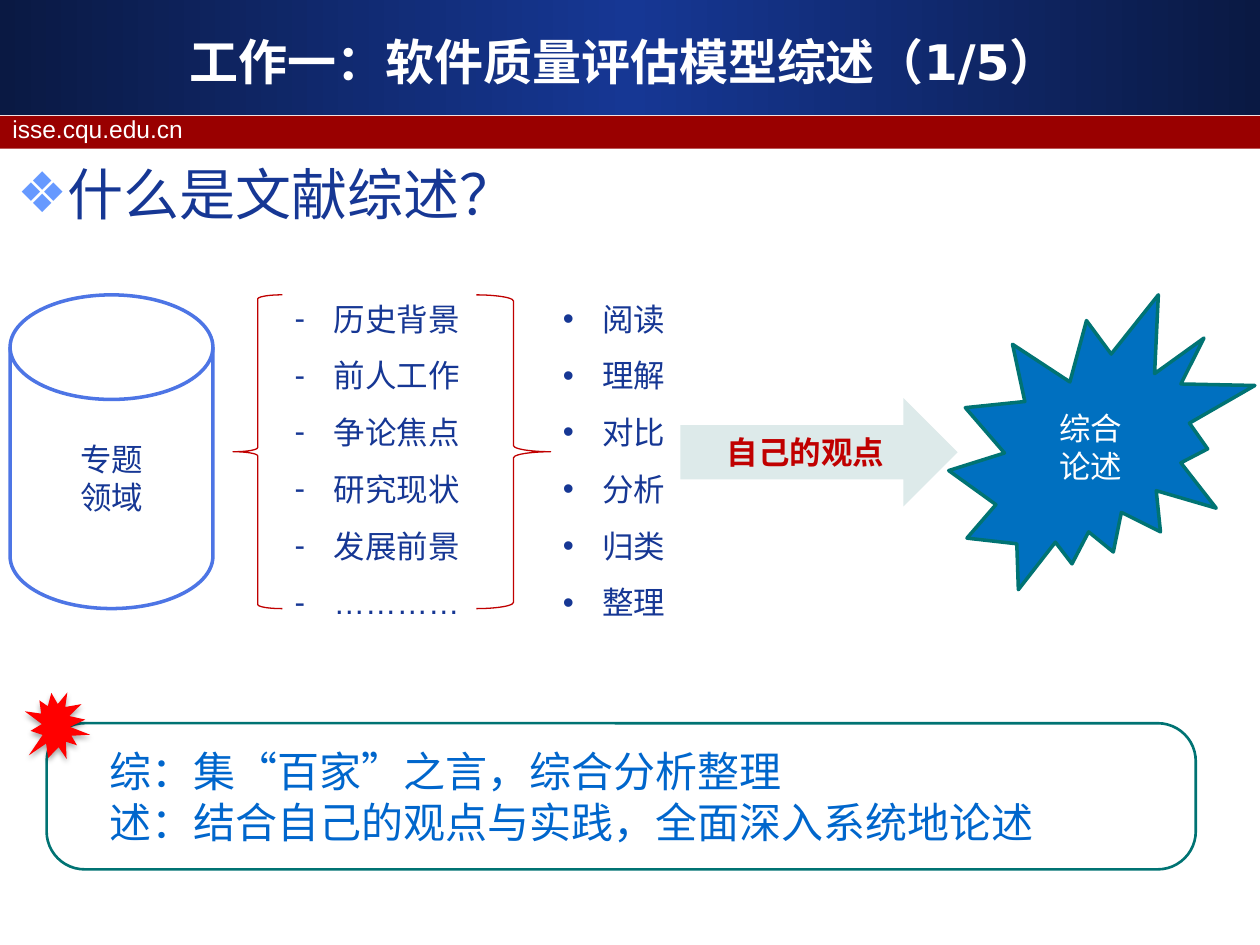
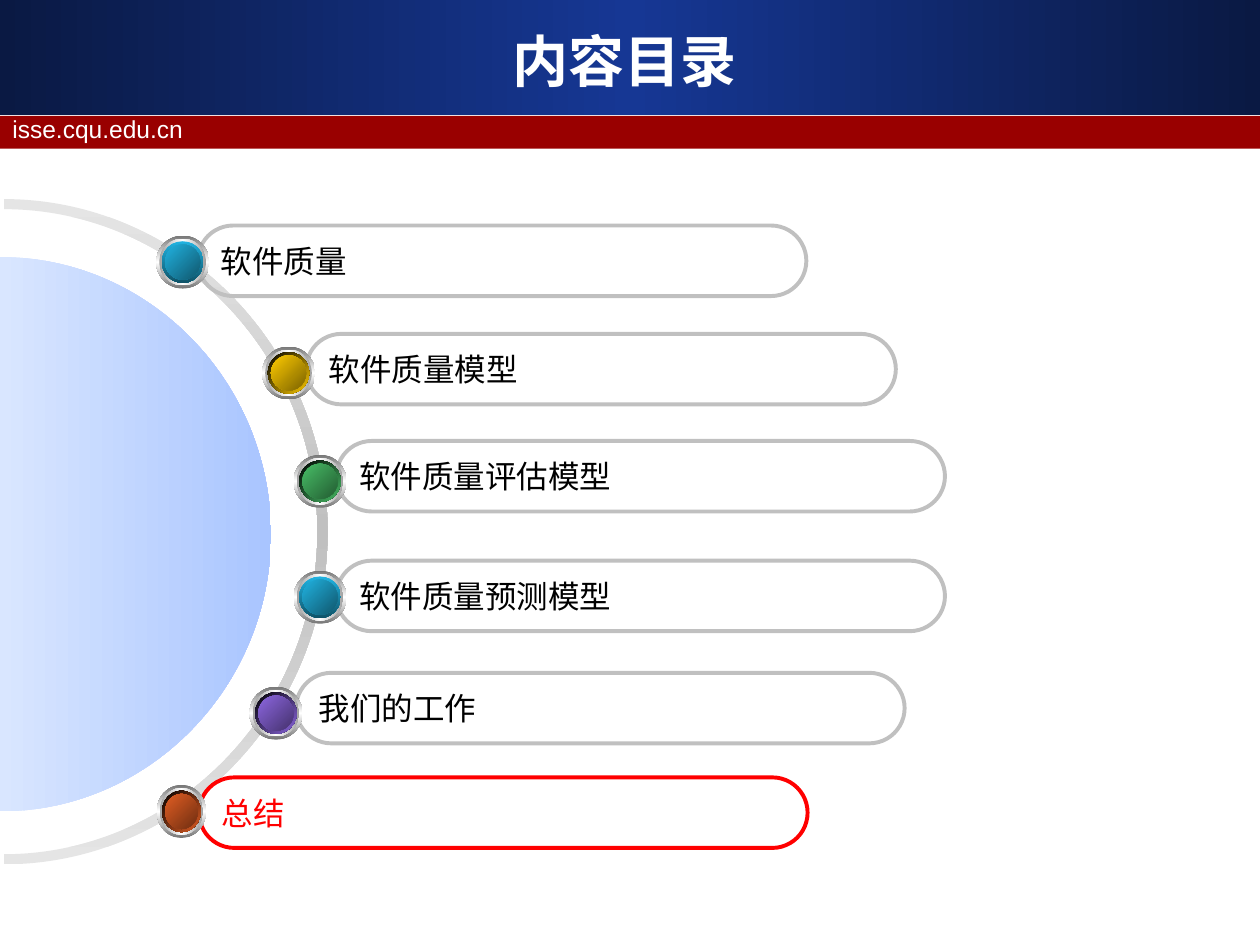
import itertools
from dataclasses import dataclass

from lxml import etree
from pptx import Presentation
from pptx import util as u
from pptx.dml.color import RGBColor
from pptx.enum import shapes, text
from pptx.oxml.ns import qn

KIND = shapes.MSO_SHAPE
ALIGN = text.PP_ALIGN


@dataclass(frozen=True)
class Theme:
    navy: str = "163794"
    navy_edge: str = "0A1943"
    band_red: str = "990000"
    white: str = "FFFFFF"
    black: str = "000000"
    diamond: str = "6699FF"
    crimson: str = "C00000"
    alert: str = "FF0000"
    arrow: str = "DDEAEA"
    seal: str = "0070C0"
    teal: str = "007373"
    cylinder: str = "4D75E5"
    summary: str = "0066CC"
    silver: str = "C0C0C0"
    pale: str = "E5E5E5"
    latin: str = "Arial"
    title_latin: str = "DejaVu Sans"
    cjk: str = "Noto Sans CJK SC"
    site_size: int = 14
    body_size: int = 18
    summary_size: int = 24
    title_size: int = 28
    heading_size: int = 32


@dataclass(frozen=True)
class Topic:
    label: str
    bead_x: float
    bead_y: float
    pill_x: float
    pill_y: float
    rim: tuple
    rim_angle: int
    face: tuple
    pill_width: float = 4.83
    bead_squeeze: float = 1.0
    current: bool = False


T = Theme()

# The slide is a grid of 10 columns by 7.5 rows
COLUMNS, ROWS = 10, 7.5
WIDTH, HEIGHT = u.Inches(10), u.Inches(7.5)


def col(count):
    return round(WIDTH * count / COLUMNS)


def row(count):
    return round(HEIGHT * count / ROWS)


def grid(left, top, width, height):
    return col(left), row(top), col(width), row(height)


# Formatting
def set_gradient(shape, colours, angle):
    shape.fill.gradient()
    gradient = shape.element.spPr.find(qn("a:gradFill"))
    stops = gradient.find(qn("a:gsLst"))
    for stop in list(stops):
        stops.remove(stop)
    for i, colour in enumerate(colours):
        position = str(100000 * i // (len(colours) - 1))
        stop = etree.SubElement(stops, qn("a:gs"), pos=position)
        etree.SubElement(stop, qn("a:srgbClr"), val=colour)
    gradient.find(qn("a:lin")).set("ang", str(angle * 60000))


def paint(shape, fill=None, line=None, weight=1.0, angle=0):
    """Fill with one colour, or with a gradient when given several."""
    shape.shadow.inherit = False
    if fill is None:
        shape.fill.background()
    elif isinstance(fill, tuple):
        set_gradient(shape, fill, angle)
    else:
        shape.fill.solid()
        shape.fill.fore_color.rgb = RGBColor.from_string(fill)
    if line is None:
        shape.line.fill.background()
    else:
        shape.line.color.rgb = RGBColor.from_string(line)
        shape.line.width = u.Pt(weight)
    return shape


def add_soft_shadow(shape):
    effects = shape.element.spPr.find(qn("a:effectLst"))
    shadow = etree.SubElement(effects, qn("a:outerShdw"), blurRad=str(u.Pt(3.1)),
                              dist=str(u.Pt(1.8)), dir="5400000", rotWithShape="0")
    colour = etree.SubElement(shadow, qn("a:srgbClr"), val=T.black)
    etree.SubElement(colour, qn("a:alpha"), val="35000")


def set_indent(paragraph, left, bullet=None, bullet_colour=None):
    properties = paragraph._p.get_or_add_pPr()
    properties.set("marL", str(col(left)))
    if bullet:
        properties.set("indent", str(-col(left)))
        if bullet_colour:
            holder = etree.SubElement(properties, qn("a:buClr"))
            etree.SubElement(holder, qn("a:srgbClr"), val=bullet_colour)
        etree.SubElement(properties, qn("a:buFont"), typeface=T.latin)
        etree.SubElement(properties, qn("a:buChar"), char=bullet)


def write(shape, lines, size, colour, latin=T.latin, bold=False,
          align=ALIGN.LEFT, middle=True, wrap=True, spacing=None,
          indent=0, bullet=None, bullet_colour=None):
    frame = shape.text_frame
    frame.word_wrap = wrap
    frame.auto_size = text.MSO_AUTO_SIZE.NONE
    anchors = text.MSO_ANCHOR
    frame.vertical_anchor = anchors.MIDDLE if middle else anchors.TOP
    for i, line in enumerate(lines):
        paragraph = frame.add_paragraph() if i else frame.paragraphs[0]
        if indent:
            set_indent(paragraph, indent, bullet, bullet_colour)
        paragraph.alignment = align
        if spacing:
            paragraph.line_spacing = spacing
        run = paragraph.add_run()
        run.text = line
        run.font.size = u.Pt(size)
        run.font.bold = bold
        run.font.name = latin
        run.font.color.rgb = RGBColor.from_string(colour)
        etree.SubElement(run._r.get_or_add_rPr(), qn("a:ea"), typeface=T.cjk)


# Shared parts
def add_bands(slide, layout):
    """Put the title band, the red band and the site address on the layout."""
    title_band = slide.shapes.add_shape(KIND.RECTANGLE, *grid(0, 0, COLUMNS, 0.91))
    paint(title_band, (T.navy_edge, T.navy, T.navy_edge))
    red_band = slide.shapes.add_shape(KIND.RECTANGLE, *grid(0, 0.92, COLUMNS, 0.26))
    paint(red_band, T.band_red)
    site = slide.shapes.add_textbox(*grid(0, 0.86, 9.61, 0.34))
    write(site, ["isse.cqu.edu.cn"], T.site_size, T.white, middle=False)
    for part in (title_band, red_band, site):
        layout.shapes.element.append(part.element)


def add_titled_slide(deck, layout, title, size):
    slide = deck.slides.add_slide(layout)
    holder = slide.shapes.title
    holder.left, holder.top, holder.width, holder.height = grid(0.33, 0.17, 9.25, 0.62)
    write(holder, [title], size, T.white, T.title_latin, bold=True, align=ALIGN.CENTER)
    return slide


# Literature review slide
def add_list(slide, left, width, items, bullet):
    box = slide.shapes.add_textbox(*grid(left, 2.18, width, 2.83))
    write(box, items, T.body_size, T.navy, middle=False, spacing=1.5,
          indent=0.31, bullet=bullet)


def add_figure(parent, kind, place, lines=(), size=T.body_size, colour=T.navy,
               latin=T.latin, bold=False, **look):
    figure = paint(parent.shapes.add_shape(kind, *grid(*place)), **look)
    if lines:
        write(figure, lines, size, colour, latin, bold, ALIGN.CENTER)
    return figure


def add_summary(slide):
    summary = slide.shapes.add_group_shape()
    panel = add_figure(summary, KIND.ROUNDED_RECTANGLE, (0.37, 5.74, 9.12, 1.16),
                       line=T.teal, weight=1.5)
    panel.adjustments[0] = 0.26
    write(panel, ["综：集“百家”之言，综合分析整理",
                  "述：结合自己的观点与实践，全面深入系统地论述"],
          T.summary_size, T.summary, indent=0.31)
    burst = add_figure(summary, KIND.EXPLOSION1, (0.19, 5.49, 0.53, 0.53), fill=T.alert)
    burst.rotation = 274.1
    add_soft_shadow(burst)


def fill_review_slide(slide):
    heading = slide.shapes.add_textbox(*grid(0.04, 1.22, 8.5, 1.2))
    write(heading, ["什么是文献综述？"], T.heading_size, T.navy, T.cjk, middle=False,
          indent=0.38, bullet="❖", bullet_colour=T.diamond)

    # From the subject, through its material and the method, to the review
    top, height = 2.34, 2.49
    add_figure(slide, KIND.FLOWCHART_MAGNETIC_DISK, (0.08, top, 1.61, height),
               ["专题", "领域"], line=T.cylinder, weight=2)
    for brace, left, width in ((KIND.LEFT_BRACE, 1.85, 0.39),
                               (KIND.RIGHT_BRACE, 3.78, 0.59)):
        add_figure(slide, brace, (left, top, width, height),
                   line=T.crimson, weight=0.75)
    add_list(slide, 2.24, 3.23, ["历史背景", "前人工作", "争论焦点", "研究现状",
                                 "发展前景", "…………"], "-")
    add_list(slide, 4.37, 1.26, ["阅读", "理解", "对比", "分析", "归类", "整理"], "•")
    add_figure(slide, KIND.RIGHT_ARROW, (5.4, 3.16, 2.2, 0.86), ["自己的观点"],
               colour=T.crimson, latin=T.cjk, bold=True, fill=T.arrow)
    add_figure(slide, KIND.EXPLOSION2, (7.53, top, 2.43, 2.34), ["综合", "论述"],
               colour=T.white, fill=T.seal, line=T.teal, weight=2)
    add_summary(slide)


# Contents slide
CURVE = 0.55  # how far a quarter ellipse's handles reach
HALF_ELLIPSE = ((0, -1), (CURVE, -1), (1, -CURVE), (1, 0),
                (1, CURVE), (CURVE, 1), (0, 1))


def half_ellipse(centre_x, centre_y, radius_x, radius_y):
    """Curve points of the right half, from the top to the bottom."""
    return [(col(centre_x + radius_x * x), row(centre_y + radius_y * y))
            for x, y in HALF_ELLIPSE]


def add_outline(slide, halves, colours, angle):
    """Join half ellipses by straight lines into one closed outline."""
    points = list(itertools.chain(*halves))
    builder = slide.shapes.build_freeform(*points[0])
    builder.add_line_segments(points[1:], close=True)
    outline = paint(builder.convert_to_shape(), colours, angle=angle)

    # Turn each three steps within a half into one curve
    steps = list(outline.element.iter(qn("a:lnTo")))
    for start in range(0, len(steps), len(HALF_ELLIPSE)):
        for first in (start, start + 3):
            curve = etree.Element(qn("a:cubicBezTo"))
            steps[first].addprevious(curve)
            for step in steps[first:first + 3]:
                curve.append(step[0])
                step.getparent().remove(step)


def add_pill(slide, topic):
    pill = slide.shapes.add_shape(
        KIND.ROUNDED_RECTANGLE,
        *grid(topic.pill_x, topic.pill_y, topic.pill_width, 0.56))
    pill.adjustments[0] = 0.5
    paint(pill, line=T.alert if topic.current else T.silver, weight=2.25)
    write(pill, [topic.label], T.body_size, T.alert if topic.current else T.black,
          T.cjk, wrap=False)


def add_bead(slide, topic):
    bead = slide.shapes.add_group_shape()
    layers = ((0.42, ("767676", T.white, "767676"), 90),
              (0.37, ("A2A2A2", T.white, "A2A2A2"), 0),
              (0.33, topic.rim, topic.rim_angle),
              (0.28, topic.face, 45))
    for size, colours, angle in layers:
        width = size * topic.bead_squeeze
        disc = bead.shapes.add_shape(KIND.OVAL, *grid(
            topic.bead_x - width / 2, topic.bead_y - size / 2, width, size))
        paint(disc, colours, angle=angle)


def fill_contents_slide(slide):
    # Ring and half disc at the left edge
    outer = half_ellipse(0.03, 4.22, 2.57, 2.64)
    inner = half_ellipse(0.03, 4.22, 2.49, 2.56)
    add_outline(slide, (outer, inner[::-1]), (T.pale, T.silver, T.pale), 90)
    add_outline(slide, (half_ellipse(0, 4.24, 2.15, 2.2),), ("D9E6FF", "A9C5FF"), 0)

    # Topics along the ring
    cyan_rim, cyan = ("21B3E1", "0F5368"), ("21B3E1", "10576D")
    topics = (
        Topic("软件质量", 1.45, 2.08, 1.57, 1.79, cyan_rim, 90, cyan),
        Topic("软件质量模型", 2.29, 2.96, 2.43, 2.65, (T.black, "FFCC00"), 45,
              ("FFCC00", "7C6300"), pill_width=4.68),
        Topic("软件质量评估模型", 2.54, 3.82, 2.67, 3.5, (T.black, "48BE67"), 45,
              ("48BE67", "235C32")),
        Topic("软件质量预测模型", 2.54, 4.74, 2.67, 4.45, cyan_rim, 90, cyan),
        Topic("我们的工作", 2.19, 5.66, 2.35, 5.34, (T.black, "8D67E1"), 45,
              ("8D67E1", "45326D")),
        Topic("总结", 1.44, 6.44, 1.58, 6.17, (T.black, "E35E23"), 45,
              ("E35E23", "6E2E11"), bead_squeeze=0.93, current=True),
    )
    for topic in topics:
        add_pill(slide, topic)
        add_bead(slide, topic)


def main():
    deck = Presentation()
    deck.slide_width, deck.slide_height = WIDTH, HEIGHT
    layout = deck.slide_layouts.get_by_name("Title Only")

    review = add_titled_slide(deck, layout, "工作一：软件质量评估模型综述（1/5）",
                              T.title_size)
    add_bands(review, layout)
    fill_review_slide(review)

    contents = add_titled_slide(deck, layout, "内容目录", T.heading_size)
    fill_contents_slide(contents)

    deck.save("out.pptx")


if __name__ == "__main__":
    main()
